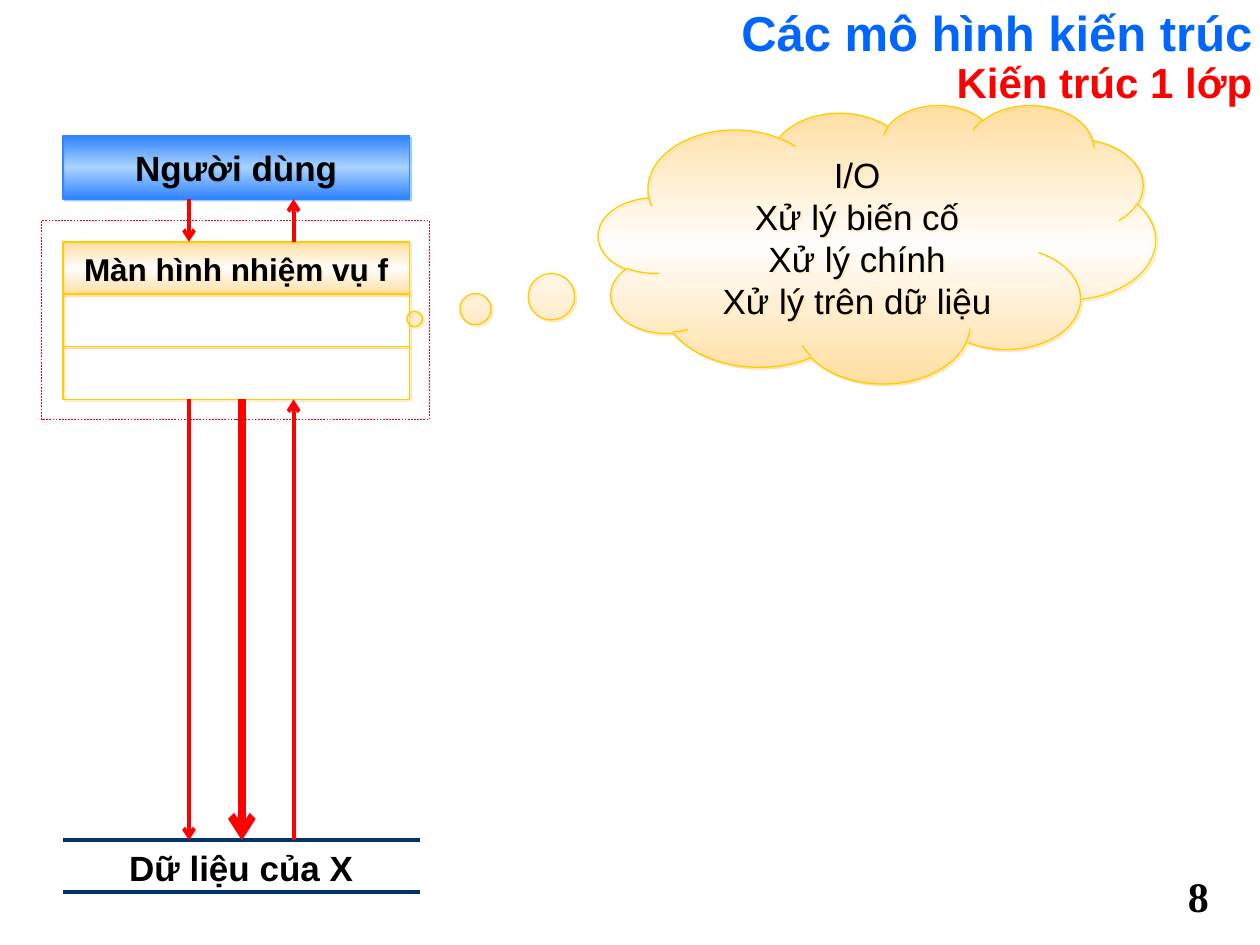
"""Build the one-tier architecture slide."""
import pptx
import pptx.util
import pptx.dml.color
import pptx.enum.dml
import pptx.enum.shapes
import pptx.enum.text
import pptx.oxml
import pptx.oxml.ns
from lxml import etree

Inches, Pt = pptx.util.Inches, pptx.util.Pt
RGBColor = pptx.dml.color.RGBColor
SHAPE = pptx.enum.shapes.MSO_SHAPE
ALIGN = pptx.enum.text.PP_ALIGN
ANCHOR = pptx.enum.text.MSO_ANCHOR
qn = pptx.oxml.ns.qn

BLACK = RGBColor(0x00, 0x00, 0x00)
WHITE = RGBColor(0xFF, 0xFF, 0xFF)
BLUE = RGBColor(0x00, 0x66, 0xFF)
LIGHT_BLUE = RGBColor(0x99, 0xCC, 0xFF)
EDGE_BLUE = RGBColor(0x33, 0x85, 0xFF)
SHADOW_BLUE = RGBColor(0x33, 0x99, 0xFF)
NAVY = RGBColor(0x00, 0x33, 0x66)
RED = RGBColor(0xFF, 0x00, 0x00)
SAND = RGBColor(0xFF, 0xCC, 0x66)
GOLD = RGBColor(0xFF, 0xCC, 0x00)


def write(tf, text, size=20, color=BLACK, bold=True, font="Arial",
          align=ALIGN.CENTER, anchor=ANCHOR.MIDDLE, before=0, spacing=1.0):
    tf.word_wrap = True
    tf.vertical_anchor = anchor
    for line in text.split("\n"):
        p = tf.paragraphs[0] if not tf.text else tf.add_paragraph()
        p.alignment = align
        p.space_before = Pt(before)
        p.line_spacing = spacing
        r = p.add_run()
        r.text = line
        r.font.size = Pt(size)
        r.font.bold = bold
        r.font.name = font
        r.font.color.rgb = color


def add_box(kind, left, top, width, height, edge=GOLD, shade=SAND, stops=None, alpha=50):
    s = shapes.add_shape(kind, Inches(left), Inches(top), Inches(width), Inches(height))
    s.shadow.inherit = False
    s.line.color.rgb = edge
    s.line.width = Pt(0.75)
    s.fill.background()
    if stops:
        s.fill.gradient()
        s.fill.gradient_angle = 90
        gs_list = s._element.spPr.find(".//" + qn("a:gsLst"))
        for gs in list(gs_list):
            gs_list.remove(gs)
        for pos, color in zip((0, 50, 100), stops):
            gs = etree.SubElement(gs_list, qn("a:gs"), pos=str(pos * 1000))
            clr = etree.SubElement(gs, qn("a:srgbClr"), val=str(color))
            etree.SubElement(clr, qn("a:alpha"), val=str(alpha * 1000))
    if shade:
        effects = s._element.spPr.find(qn("a:effectLst"))
        shadow = etree.SubElement(effects, qn("a:outerShdw"), dist=str(Pt(1.4)),
                                  dir="2700000", algn="ctr", rotWithShape="0")
        clr = etree.SubElement(shadow, qn("a:srgbClr"), val=str(shade))
        etree.SubElement(clr, qn("a:alpha"), val="50000")
    return s


prs = pptx.Presentation()
prs.slide_width = Inches(10)
prs.slide_height = Inches(7.5)
shapes = prs.slides.add_slide(prs.slide_layouts[6]).shapes

tf = shapes.add_textbox(Inches(0.06), Inches(0.06), Inches(9.88), Inches(0.8)).text_frame
tf.margin_left = tf.margin_right = tf.margin_top = tf.margin_bottom = 0
write(tf, "Các mô hình kiến trúc", size=28, color=BLUE, align=ALIGN.RIGHT, spacing=0.9)
write(tf, "Kiến trúc 1 lớp", size=24, color=RED, align=ALIGN.RIGHT, spacing=0.9)

s = add_box(SHAPE.RECTANGLE, 0.5, 1.08, 2.75, 0.5, edge=EDGE_BLUE, shade=SHADOW_BLUE,
            stops=(BLUE, LIGHT_BLUE, BLUE), alpha=71)
write(s.text_frame, "Người dùng", before=12.5)

tf = shapes.add_textbox(Inches(0.5), Inches(6.67), Inches(2.83), Inches(0.44)).text_frame
write(tf, "Dữ liệu của X", anchor=ANCHOR.TOP, before=12.5)

sand_stops = (SAND, WHITE, SAND)
s = add_box(SHAPE.RECTANGLE, 0.5, 1.92, 2.75, 0.42, stops=sand_stops)
write(s.text_frame, "Màn hình nhiệm vụ f", size=18)
for top in (2.33, 2.75):
    add_box(SHAPE.RECTANGLE, 0.5, top, 2.75, 0.42)

lines = [
    (0.5, 6.67, 3.33, 6.67, NAVY, 2.25),
    (0.5, 7.08, 3.33, 7.08, NAVY, 2.25),
    (1.5, 1.58, 1.5, 1.92, RED, 2.25),
    (2.33, 1.92, 2.33, 1.58, RED, 2.25),
    (1.5, 3.17, 1.5, 6.67, RED, 2.25),
    (2.33, 6.67, 2.33, 3.17, RED, 2.25),
    (1.92, 3.17, 1.92, 6.67, RED, 4.5),
]
for x1, y1, x2, y2, color, width in lines:
    s = shapes.add_connector(pptx.enum.shapes.MSO_CONNECTOR.STRAIGHT,
                             Inches(x1), Inches(y1), Inches(x2), Inches(y2))
    s.line.color.rgb = color
    s.line.width = Pt(width)
    if color == RED:
        etree.SubElement(s.line._get_or_add_ln(), qn("a:tailEnd"), type="arrow")
    etree.SubElement(s._element.spPr, qn("a:effectLst"))

s = add_box(SHAPE.RECTANGLE, 0.33, 1.75, 3.08, 1.58, edge=RED, shade=None)
s.line.width = Pt(0.25)
s.line.dash_style = pptx.enum.dml.MSO_LINE.DASH

s = add_box(SHAPE.CLOUD_CALLOUT, 4.75, 0.83, 4.42, 2.21, stops=sand_stops)
s.adjustments[0] = -0.83
s.adjustments[1] = 0.27
write(s.text_frame, "I/O\nXử lý biến cố\nXử lý chính\nXử lý trên dữ liệu", bold=False)

tf = shapes.add_textbox(Inches(9.33), Inches(6.83), Inches(0.64), Inches(0.53)).text_frame
write(tf, "8", size=24, font="Times New Roman", align=ALIGN.LEFT, anchor=ANCHOR.BOTTOM)

prs.save("out.pptx")
